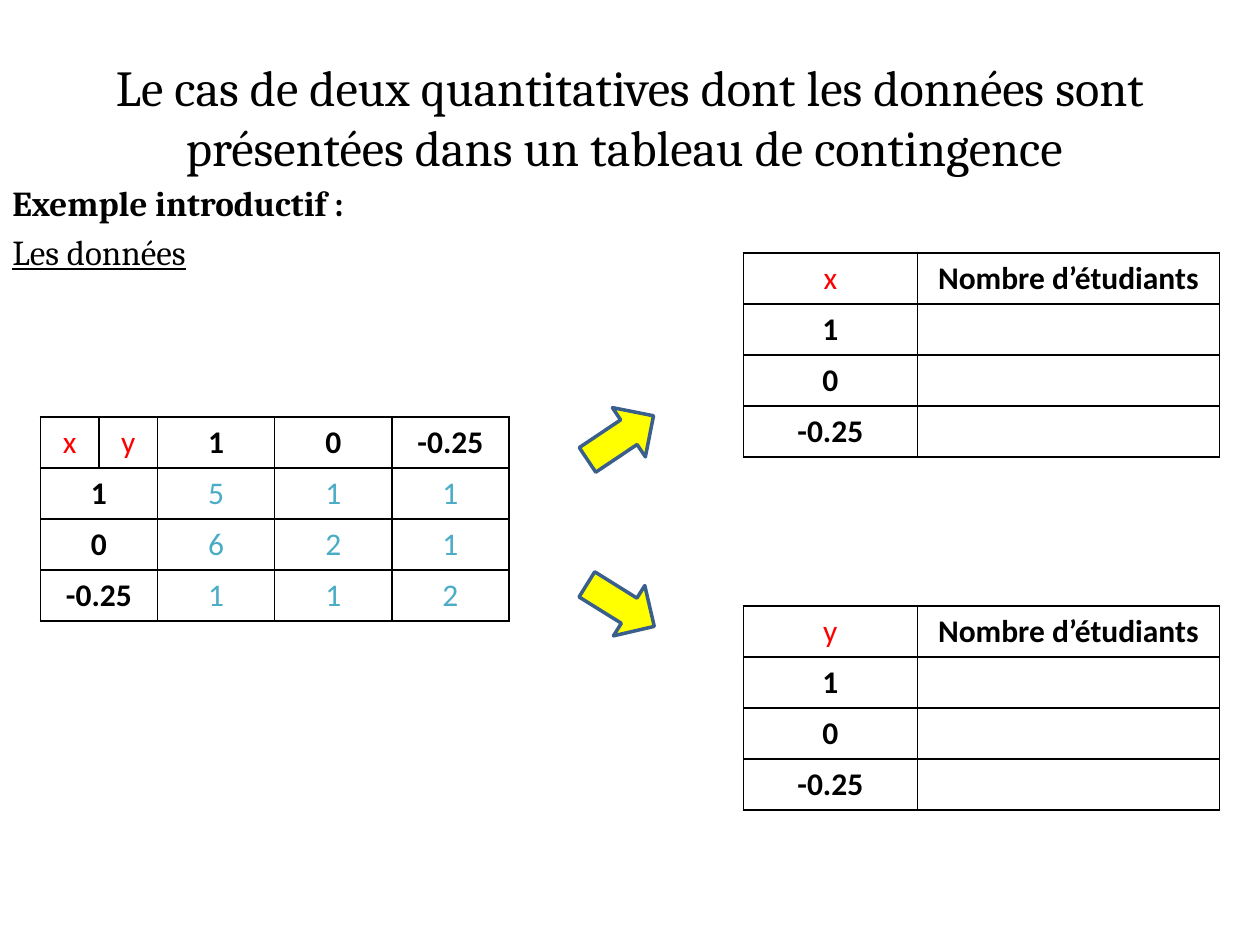
"""Build the slide that splits a contingency table into its two marginal tables."""
from lxml import etree
from pptx import Presentation
from pptx.dml.color import RGBColor
from pptx.enum.shapes import MSO_SHAPE
from pptx.enum.text import MSO_ANCHOR, PP_ALIGN
from pptx.oxml.ns import qn
from pptx.util import Inches, Pt

CENTER = PP_ALIGN.CENTER
LEFT = PP_ALIGN.LEFT
MIDDLE = MSO_ANCHOR.MIDDLE
RIGHT_ARROW = MSO_SHAPE.RIGHT_ARROW

COLORS = {
    "text": "000000",
    "variable": "FF0000",
    "count": "4BACC6",
    "arrow": "FFFF00",
    "arrow_line": "3A5F8C",
    "border": "000000",
}
TITLE = "Le cas de deux quantitatives dont les données sont présentées dans un tableau de contingence "
INTRODUCTION = [
    ("Exemple introductif :", {"bold": True}),
    ("Les données", {"underline": True}),
]
VALUES = ["1", "0", "-0.25"]
COUNTS = [["5", "1", "1"], ["6", "2", "1"], ["1", "1", "2"]]
MARGINAL_HEADER = "Nombre d’étudiants"

WIDTH, HEIGHT = 10, 7.5
ROW_HEIGHT = 0.405
VALUE_WIDTH = 0.93
CONTINGENCY_COLUMNS = [VALUE_WIDTH / 2] * 2 + [VALUE_WIDTH] * len(VALUES)
MARGINAL_COLUMNS = [1.38, 2.4]
CONTINGENCY_PLACE = (0.32, 3.31)
MARGINAL_LEFT = 5.9
MARGINAL_TOPS = {"x": 2.01, "y": 4.81}
ARROW_LEFT, ARROW_WIDTH, ARROW_HEIGHT = 4.61, 0.63, 0.47
ARROWS = [(3.24, 326.2), (4.57, 31.9)]
BORDER_TAGS = ["a:lnL", "a:lnR", "a:lnT", "a:lnB"]

CELL_FORMATS = {
    "variable": {"color": "variable", "bold": False},
    "value": {"color": "text", "bold": True},
    "count": {"color": "count", "bold": False},
}


def write(paragraph, text, alignment, color="text", **formats):
    paragraph.alignment = alignment
    run = paragraph.add_run()
    run.text = text
    for name, value in formats.items():
        setattr(run.font, name, value)
    run.font.color.rgb = RGBColor.from_string(COLORS[color])


def add_borders(cell):
    properties = cell._tc.get_or_add_tcPr()
    for position, tag in enumerate(BORDER_TAGS):
        line = etree.Element(qn(tag), w=str(Pt(1)))
        fill = etree.SubElement(line, qn("a:solidFill"))
        etree.SubElement(fill, qn("a:srgbClr"), val=COLORS["border"])
        properties.insert(position, line)


def add_grid(slide, place, column_widths, rows):
    size = (sum(column_widths), ROW_HEIGHT * len(rows))
    frame = slide.shapes.add_table(
        len(rows), len(column_widths), *map(Inches, place + size))
    table = frame.table
    table.first_row = table.horz_banding = False
    for column, width in zip(table.columns, column_widths):
        column.width = Inches(width)
    for row_index, row in enumerate(rows):
        table.rows[row_index].height = Inches(ROW_HEIGHT)
        for column_index, content in enumerate(row):
            cell = table.cell(row_index, column_index)
            cell.fill.background()
            add_borders(cell)
            if content:
                text, kind = content
                write(cell.text_frame.paragraphs[0], text, CENTER,
                      name="Calibri", size=Pt(18), **CELL_FORMATS[kind])
    return table


def add_contingency_table(slide):
    header = [(name, "variable") for name in MARGINAL_TOPS]
    rows = [header + [(value, "value") for value in VALUES]]
    for value, counts in zip(VALUES, COUNTS):
        rows.append([(value, "value"), None] + [(count, "count") for count in counts])
    table = add_grid(slide, CONTINGENCY_PLACE, CONTINGENCY_COLUMNS, rows)
    for row_index in range(1, len(rows)):
        table.cell(row_index, 0).merge(table.cell(row_index, 1))


def add_marginal_table(slide, variable, top):
    rows = [[(variable, "variable"), (MARGINAL_HEADER, "value")]]
    rows += [[(value, "value"), None] for value in VALUES]
    add_grid(slide, (MARGINAL_LEFT, top), MARGINAL_COLUMNS, rows)


def add_arrow(slide, top, rotation):
    place = (ARROW_LEFT, top, ARROW_WIDTH, ARROW_HEIGHT)
    arrow = slide.shapes.add_shape(RIGHT_ARROW, *map(Inches, place))
    arrow.rotation = rotation
    arrow.shadow.inherit = False
    arrow.fill.solid()
    arrow.fill.fore_color.rgb = RGBColor.from_string(COLORS["arrow"])
    arrow.line.color.rgb = RGBColor.from_string(COLORS["arrow_line"])
    arrow.line.width = Pt(2)


def add_title(slide):
    title = slide.shapes.title
    place = {"left": 0.05 * WIDTH, "top": 0.04 * HEIGHT, "width": 0.9 * WIDTH, "height": 1.25}
    for name, value in place.items():
        setattr(title, name, Inches(value))
    title.text_frame.vertical_anchor = MIDDLE
    write(title.text_frame.paragraphs[0], TITLE, CENTER, name="Cambria", size=Pt(28.8))


def add_introduction(slide):
    top = 1.39
    box = slide.shapes.add_textbox(*map(Inches, (0, top, WIDTH, HEIGHT - top)))
    box.text_frame.word_wrap = True
    for index, (text, formats) in enumerate(INTRODUCTION):
        paragraph = box.text_frame.add_paragraph() if index else box.text_frame.paragraphs[0]
        if index:
            paragraph.space_before = Pt(4)
        write(paragraph, text, LEFT, name="Cambria", size=Pt(20), **formats)


def main():
    presentation = Presentation()
    presentation.slide_width = Inches(WIDTH)
    presentation.slide_height = Inches(HEIGHT)
    slide = presentation.slides.add_slide(presentation.slide_layouts[5])
    add_title(slide)
    add_introduction(slide)
    add_contingency_table(slide)
    for top, rotation in ARROWS:
        add_arrow(slide, top, rotation)
    for variable, top in MARGINAL_TOPS.items():
        add_marginal_table(slide, variable, top)
    presentation.save("out.pptx")


if __name__ == "__main__":
    main()
